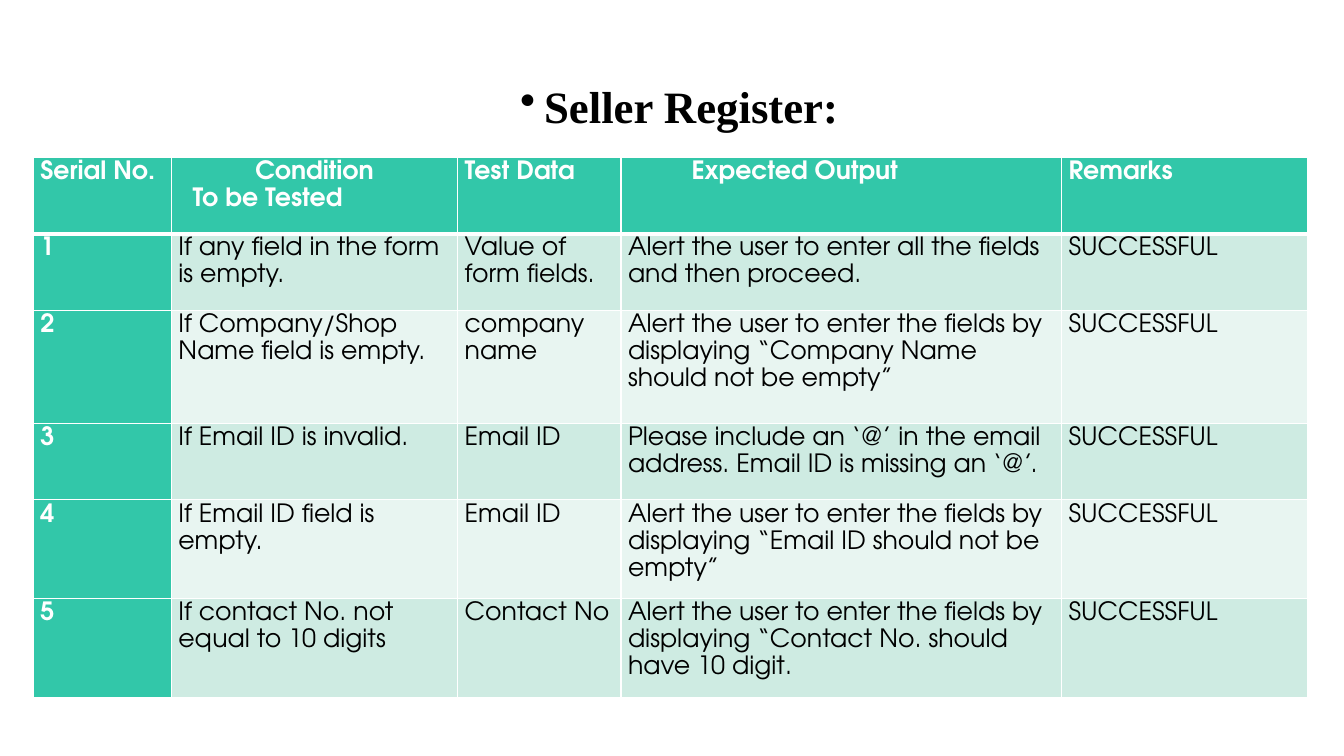
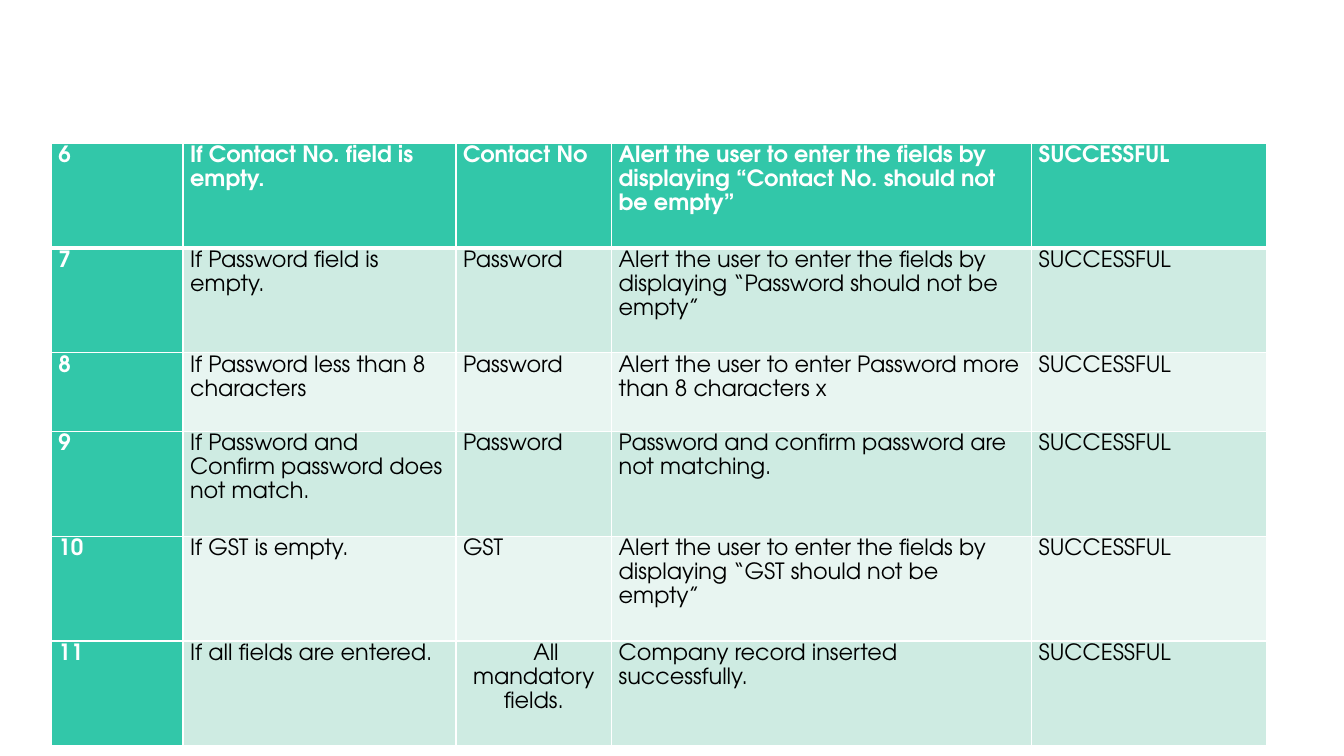
from dataclasses import dataclass

from lxml import etree
from pptx import Presentation
from pptx.dml.color import RGBColor
from pptx.enum.text import MSO_ANCHOR, PP_ALIGN
from pptx.oxml.ns import qn
from pptx.util import Inches, Pt

LEFT, CENTER = PP_ALIGN.LEFT, PP_ALIGN.CENTER
MIDDLE = MSO_ANCHOR.MIDDLE
TITLE_ONLY, BLANK = 5, 6


@dataclass(frozen=True)
class Theme:
    accent: str = "32C7A9"
    bands: tuple = ("CEEBE2", "E8F5F1")
    white: str = "FFFFFF"
    black: str = "000000"
    title_font: str = "Times New Roman"
    table_font: str = "TeX Gyre Adventor"
    title_size: int = 32
    spacing: float = 1.15
    inset: float = 0.07
    rule: int = 1
    head_rule: int = 3


THEME = Theme()
PASSED = "SUCCESSFUL"

# Content: a cell is plain text or a list of (text, alignment, first-line indent)
SLIDES = [
    {
        "title": "Seller Register:",
        "at": (0.33, 1.56), "width": 12.64, "size": 18,
        "heights": (0.76, 0.76, 1.12, 0.76, 0.98, 0.98),
        "rows": [
            ("Serial No.",
             [("Condition", CENTER, 0), ("To be Tested", LEFT, 0.14)],
             "Test Data", [("Expected Output", LEFT, 0.63)], "Remarks"),
            ("1", "If any field in the form is empty.", "Value of form fields.",
             "Alert the user to enter all the fields and then proceed.", PASSED),
            ("2", "If Company/Shop Name field is empty.", "company name",
             "Alert the user to enter the fields by displaying “Company Name should not be empty”",
             PASSED),
            ("3", "If Email ID is invalid.", "Email ID",
             "Please include an ‘@’ in the email address. Email ID is missing an ‘@’.", PASSED),
            ("4", "If Email ID field is empty.", "Email ID",
             "Alert the user to enter the fields by displaying “Email ID should not be empty”",
             PASSED),
            ("5", "If contact No. not equal to 10 digits", "Contact No",
             "Alert the user to enter the fields by displaying “Contact No. should have 10 digit.",
             PASSED),
        ],
    },
    {
        "title": None,
        "at": (0.51, 1.42), "width": 12.05, "size": 16,
        "heights": (1.04, 1.04, 0.78, 1.04, 1.04, 1.04),
        "rows": [
            ("6", "If Contact No. field is empty.", "Contact No",
             "Alert the user to enter the fields by displaying “Contact No. should not be empty”",
             PASSED),
            ("7", "If Password field is empty.", "Password",
             "Alert the user to enter the fields by displaying “Password should not be empty”",
             PASSED),
            ("8", "If Password less than 8 characters", "Password",
             "Alert the user to enter Password more than 8 characters x", PASSED),
            ("9", "If Password and Confirm password does not match.", "Password",
             "Password and confirm password are not matching.", PASSED),
            ("10", "If GST is empty.", "GST",
             "Alert the user to enter the fields by displaying “GST should not be empty”", PASSED),
            ("11", "If all fields are entered.",
             [("All mandatory fields.", CENTER, 0.24)],
             "Company record inserted successfully.", PASSED),
        ],
    },
]
COLUMN_WEIGHTS = (1.37, 2.84, 1.62, 4.37, 2.44)


def set_font(p, name, size, color, bold):
    p.font.name, p.font.size, p.font.bold = name, Pt(size), bold
    p.font.color.rgb = RGBColor.from_string(color)


def add_title(s, text):
    sp = s.shapes.title
    sp.left, sp.top, sp.width, sp.height = map(Inches, (5.06, 0.73, 4.42, 0.64))
    tf = sp.text_frame
    tf.vertical_anchor = MIDDLE
    p = tf.paragraphs[0]
    p.text, p.alignment = text, LEFT
    bullet = etree.SubElement(p._p.get_or_add_pPr(), qn("a:buChar"))
    bullet.set("char", "•")
    set_font(p, THEME.title_font, THEME.title_size, THEME.black, True)


def set_borders(cell, row):
    # The rule under the first row is heavier, on both cells that share it
    widths = {"L": THEME.rule, "R": THEME.rule,
              "T": THEME.head_rule if row == 1 else THEME.rule,
              "B": THEME.head_rule if row == 0 else THEME.rule}
    for side, width in widths.items():
        line = etree.SubElement(cell._tc.get_or_add_tcPr(), qn(f"a:ln{side}"), w=str(Pt(width)))
        fill = etree.SubElement(line, qn("a:solidFill"))
        etree.SubElement(fill, qn("a:srgbClr"), val=THEME.white)


def fill_cell(cell, content, row, col, size):
    strong = row == 0 or col == 0
    set_borders(cell, row)
    cell.fill.solid()
    fill = THEME.accent if strong else THEME.bands[(row - 1) % 2]
    cell.fill.fore_color.rgb = RGBColor.from_string(fill)
    cell.margin_left = cell.margin_right = Inches(THEME.inset)
    cell.margin_top = cell.margin_bottom = 0

    lines = [(content, LEFT, 0)] if isinstance(content, str) else content
    tf = cell.text_frame
    for i, (text, align, indent) in enumerate(lines):
        p = tf.add_paragraph() if i else tf.paragraphs[0]
        p.text, p.alignment, p.line_spacing = text, align, THEME.spacing
        if indent:
            p._p.get_or_add_pPr().set("indent", str(Inches(indent)))
        set_font(p, THEME.table_font, size, THEME.white if strong else THEME.black, strong)


def add_test_table(s, spec):
    rows, heights, width = spec["rows"], spec["heights"], spec["width"]
    left, top = spec["at"]
    table = s.shapes.add_table(len(rows), len(COLUMN_WEIGHTS), Inches(left), Inches(top),
                               Inches(width), Inches(sum(heights))).table
    for column, weight in zip(table.columns, COLUMN_WEIGHTS):
        column.width = Inches(width * weight / sum(COLUMN_WEIGHTS))
    for r, (contents, height) in enumerate(zip(rows, heights)):
        table.rows[r].height = Inches(height)
        for c, content in enumerate(contents):
            fill_cell(table.cell(r, c), content, r, c, spec["size"])


def main():
    prs = Presentation()
    prs.slide_width, prs.slide_height = Inches(13.33), Inches(7.5)
    for spec in SLIDES:
        s = prs.slides.add_slide(prs.slide_layouts[TITLE_ONLY if spec["title"] else BLANK])
        if spec["title"]:
            add_title(s, spec["title"])
        add_test_table(s, spec)
    prs.save("out.pptx")


if __name__ == "__main__":
    main()
